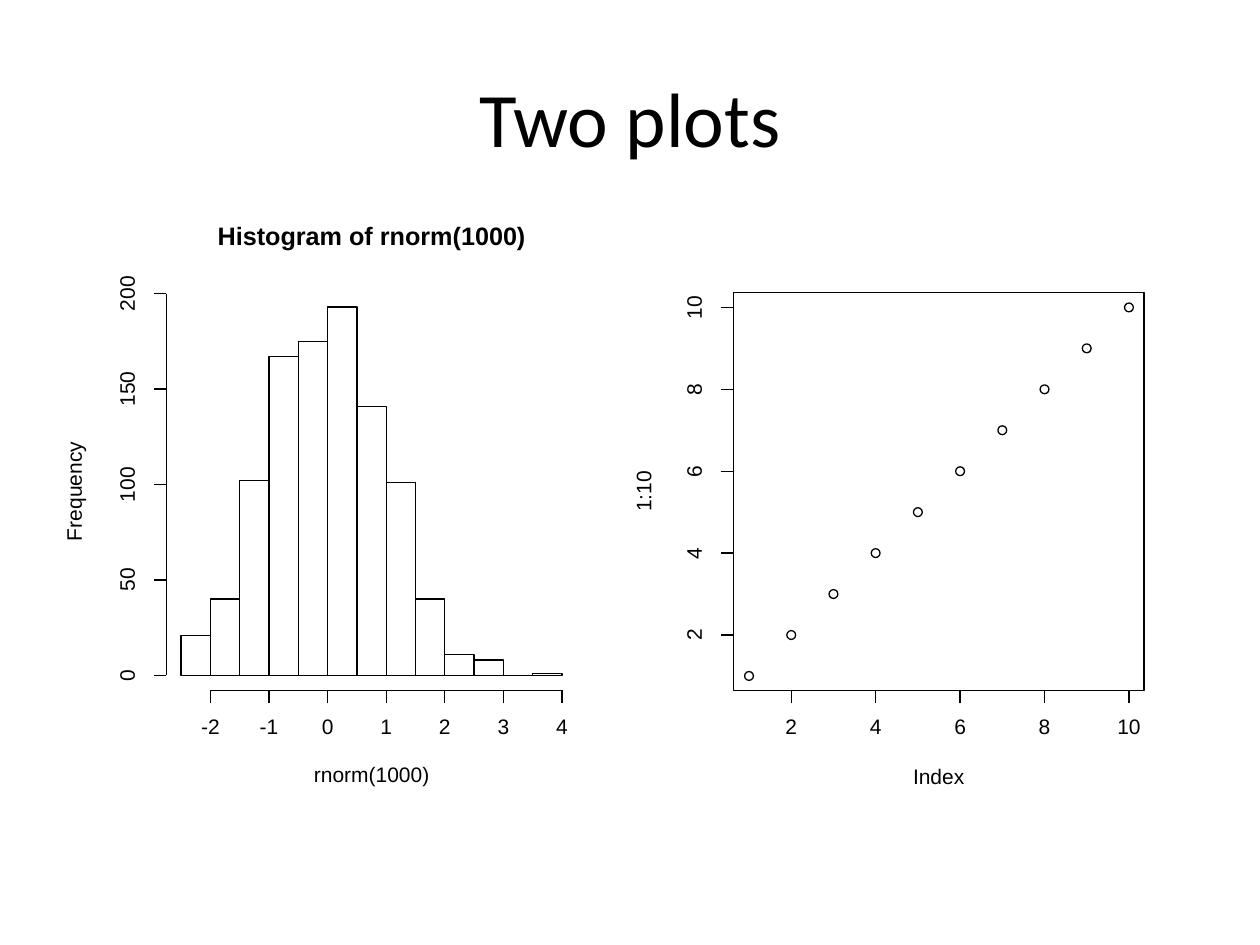
from lxml import etree
from pptx import Presentation
from pptx.dml.color import RGBColor
from pptx.enum import shapes, text
from pptx.oxml import ns
from pptx.util import Inches, Pt

BLACK, WHITE = "000000", "FFFFFF"
TICK = 0.1
DOT = 0.07


def colour(value):
    """Turn a hex string into a colour."""
    return RGBColor.from_string(value)


def add_outline(group, kind, left, top, width, height, line=BLACK, fill=None):
    """Add a thin-lined preset shape, hollow unless a fill is given."""
    shape = group.shapes.add_shape(kind, Inches(left), Inches(top), Inches(width), Inches(height))
    shape.shadow.inherit = False
    shape.line.color.rgb = colour(line)
    shape.line.width = Pt(0.75)
    if fill:
        shape.fill.solid()
        shape.fill.fore_color.rgb = colour(fill)
    else:
        shape.fill.background()


def add_line(group, start, end):
    """Add a thin black straight line between two points."""
    ends = [Inches(value) for value in (*start, *end)]
    line = group.shapes.add_connector(shapes.MSO_CONNECTOR.STRAIGHT, *ends)
    line.line.color.rgb = colour(BLACK)
    line.line.width = Pt(0.75)
    etree.SubElement(line._element.spPr, ns.qn("a:effectLst"))


def add_label(group, words, x, y, size=12, bold=False, rotation=0):
    """Add a label centred on a point."""
    width, height = len(words) * size * 0.0075 + 0.03, 0.16
    box = group.shapes.add_textbox(
        Inches(x - width / 2), Inches(y - height / 2), Inches(width), Inches(height))
    box.rotation = rotation
    frame = box.text_frame
    frame.word_wrap = False
    frame.vertical_anchor = text.MSO_ANCHOR.MIDDLE
    frame.margin_left = frame.margin_right = frame.margin_top = frame.margin_bottom = 0
    para = frame.paragraphs[0]
    para.text = words
    para.alignment = text.PP_ALIGN.CENTER
    para.line_spacing = Pt(size)
    para.font.name = "Arial"
    para.font.size = Pt(size)
    para.font.bold = bold
    para.font.color.rgb = colour(BLACK)


def add_x_axis(group, y, values, place):
    """Draw a horizontal axis with ticks and labels below it."""
    add_line(group, (place(values[0]), y), (place(values[-1]), y))
    for value in values:
        add_line(group, (place(value), y), (place(value), y + TICK))
        add_label(group, str(value), place(value), y + 0.3)


def add_y_axis(group, x, values, place):
    """Draw a vertical axis with ticks and turned labels to its left."""
    add_line(group, (x, place(values[0])), (x, place(values[-1])))
    for value in values:
        add_line(group, (x, place(value)), (x - TICK, place(value)))
        add_label(group, str(value), x - 0.3, place(value), rotation=270)


def add_panel(page, left, top, width, height):
    """Add a group holding a white background panel."""
    group = page.shapes.add_group_shape()
    add_outline(group, shapes.MSO_SHAPE.RECTANGLE, left, top, width, height, WHITE, WHITE)
    return group


def add_histogram(page, left, top, width, height):
    """Draw the histogram in the given box."""
    counts = [21, 40, 102, 167, 175, 193, 141, 101, 40, 11, 8, 0, 1]
    first, step = -2.5, 0.5
    unit_x, unit_y = 0.465, 3.03 / 200
    axis_x, axis_y, base, middle = left + 0.82, top + 3.98, top + 3.86, left + 2.45
    group = add_panel(page, left, top, width, height)

    def place_x(value):
        """Give the position of a value across."""
        return left + 2.1 + value * unit_x

    def place_y(value):
        """Give the position of a count upwards."""
        return base - value * unit_y

    add_label(group, "Histogram of rnorm(1000)", middle, top + 0.39, 14.4, True)
    add_label(group, "rnorm(1000)", middle, top + 4.66)
    add_label(group, "Frequency", left + 0.1, top + 2.4, rotation=270)
    add_x_axis(group, axis_y, range(-2, 5), place_x)
    add_y_axis(group, axis_x, range(0, 201, 50), place_y)
    for index, count in enumerate(counts):
        add_outline(group, shapes.MSO_SHAPE.RECTANGLE, place_x(first + index * step),
                    place_y(count), step * unit_x, count * unit_y)


def add_scatter(page, left, top, width, height):
    """Draw the scatter plot in the given box."""
    plot_x, plot_y, plot_width, plot_height = left + 0.82, top + 0.82, 3.26, 3.16
    bottom = plot_y + plot_height
    ticks = range(2, 11, 2)
    group = add_panel(page, left, top, width, height)

    def place_x(value):
        """Give the position of a value across."""
        return left + 0.61 + value * 0.335

    def place_y(value):
        """Give the position of a value upwards."""
        return top + 4.19 - value * 0.325

    for value in range(1, 11):
        add_outline(group, shapes.MSO_SHAPE.OVAL, place_x(value) - DOT / 2,
                    place_y(value) - DOT / 2, DOT, DOT)
    add_x_axis(group, bottom, ticks, place_x)
    add_y_axis(group, plot_x, ticks, place_y)
    add_outline(group, shapes.MSO_SHAPE.RECTANGLE, plot_x, plot_y, plot_width, plot_height)
    add_label(group, "Index", left + 2.45, top + 4.68)
    add_label(group, "1:10", left + 0.12, top + 2.4, rotation=270)


def add_title(page, left, top, width, height):
    """Place and format the slide title."""
    title = page.shapes.title
    title.left, title.top = Inches(left), Inches(top)
    title.width, title.height = Inches(width), Inches(height)
    title.text_frame.vertical_anchor = text.MSO_ANCHOR.MIDDLE
    para = title.text_frame.paragraphs[0]
    para.text = "Two plots"
    para.alignment = text.PP_ALIGN.CENTER
    para.font.name = "Calibri"
    para.font.size = Pt(44)
    para.font.color.rgb = colour(BLACK)


def main():
    """Build and save the deck."""
    deck = Presentation()
    deck.slide_width, deck.slide_height = Inches(10), Inches(7.5)
    page = deck.slides.add_slide(deck.slide_layouts.get_by_name("Title Only"))
    add_title(page, 0.5, 0.3, 9, 1.25)
    add_histogram(page, 0.5, 1.5, 4.5, 5)
    add_scatter(page, 5, 1.5, 4.5, 5)
    deck.save("out.pptx")


if __name__ == "__main__":
    main()
